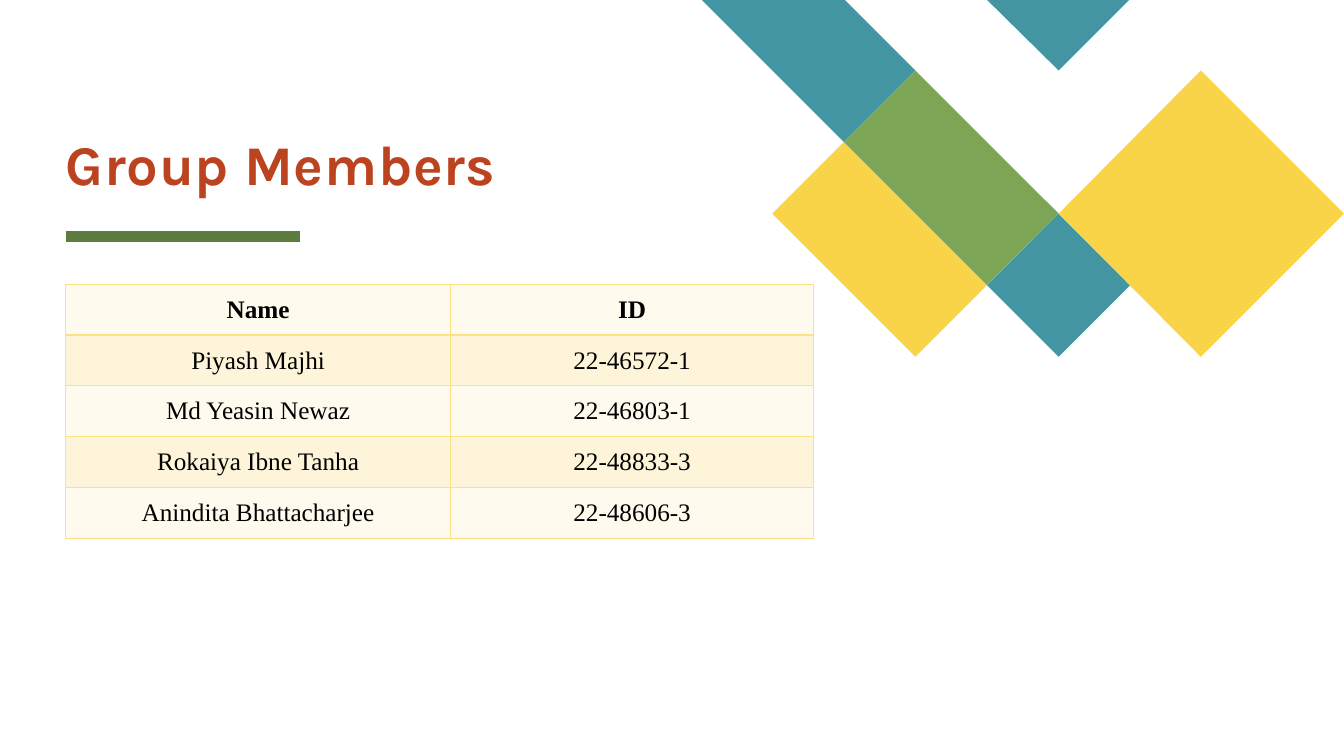
from pptx import Presentation
from pptx.dml.color import RGBColor
from pptx.enum.shapes import MSO_CONNECTOR
from pptx.enum.text import MSO_ANCHOR, MSO_AUTO_SIZE, PP_ALIGN
from pptx.oxml import parse_xml
from pptx.oxml.ns import nsdecls
from pptx.util import Inches, Pt
from lxml import etree

TEAL = RGBColor(0x44, 0x95, 0xA2)
YELLOW = RGBColor(0xF9, 0xD4, 0x48)
GREEN = RGBColor(0x7C, 0xA6, 0x55)
DARK_GREEN = RGBColor(0x5D, 0x7D, 0x40)
RUST = RGBColor(0xBB, 0x43, 0x1F)
BLACK = RGBColor(0, 0, 0)
CREAM = RGBColor(0xFE, 0xFA, 0xED)
SAND = RGBColor(0xFD, 0xF4, 0xD9)
BORDER = RGBColor(0xFB, 0xE2, 0x84)

prs = Presentation()
prs.slide_width, prs.slide_height = Inches(13.33), Inches(7.5)
slide = prs.slides.add_slide(prs.slide_layouts[5])

# Corner pattern: each entry is a fill and its outlines
pattern = [
    (TEAL, [[(9.08, 0.7), (8.38, 0), (6.96, 0), (8.37, 1.41)],
            [(11.21, 2.83), (10.5, 2.12), (9.79, 2.83), (10.5, 3.54)]]),
    (YELLOW, [[(8.37, 1.41), (7.66, 2.12), (9.08, 3.54), (9.79, 2.83)]]),
    (TEAL, [[(11.2, 0), (9.79, 0), (10.5, 0.7)]]),
    (GREEN, [[(9.08, 0.7), (8.37, 1.41), (9.79, 2.83), (10.5, 2.12)]]),
    (YELLOW, [[(13.33, 2.12), (11.91, 0.7), (10.5, 2.12), (11.91, 3.54)]]),
]
for color, outlines in pattern:
    outlines = [[(Inches(x), Inches(y)) for x, y in pts] for pts in outlines]
    builder = slide.shapes.build_freeform(*outlines[0][0])
    builder.add_line_segments(outlines[0][1:], close=True)
    for pts in outlines[1:]:
        builder.move_to(*pts[0])
        builder.add_line_segments(pts[1:], close=True)
    sp = builder.convert_to_shape()
    sp.shadow.inherit = False
    sp.fill.solid()
    sp.fill.fore_color.rgb = color
    sp.line.fill.background()

# Rule under the title
rule = slide.shapes.add_connector(
    MSO_CONNECTOR.STRAIGHT, Inches(0.65), Inches(2.35), Inches(2.98), Inches(2.35))
rule.line.color.rgb = DARK_GREEN
rule.line.width = Pt(8)
rule._element.spPr.append(parse_xml(f"<a:effectLst {nsdecls('a')}/>"))

# Title
title = slide.shapes.title
title.left, title.top = Inches(0.65), Inches(0.21)
title.width, title.height = Inches(7.42), Inches(1.74)
tf = title.text_frame
tf.text = "Group Members"
tf.word_wrap = True
tf.auto_size = MSO_AUTO_SIZE.NONE
tf.vertical_anchor = MSO_ANCHOR.BOTTOM
tf.margin_left = tf.margin_right = tf.margin_top = tf.margin_bottom = 0
p = tf.paragraphs[0]
p.alignment = PP_ALIGN.LEFT
p.line_spacing = 0.8
p.font.name, p.font.size, p.font.bold = "Karla", Pt(40), True
p.font.color.rgb = RUST
p.runs[0]._r.get_or_add_rPr().set("spc", "50")

# Members table
members = [
    ("Name", "ID"),
    ("Piyash Majhi", "22-46572-1"),
    ("Md Yeasin Newaz", "22-46803-1"),
    ("Rokaiya Ibne Tanha", "22-48833-3"),
    ("Anindita Bhattacharjee", "22-48606-3"),
]
table = slide.shapes.add_table(
    len(members), 2, Inches(0.65), Inches(2.82), Inches(7.42), Inches(2.52)).table
table.columns[0].width, table.columns[1].width = Inches(3.82), Inches(3.6)
for i, member in enumerate(members):
    for j, text in enumerate(member):
        cell = table.cell(i, j)
        cell.text = text
        cell.vertical_anchor = MSO_ANCHOR.MIDDLE
        p = cell.text_frame.paragraphs[0]
        p.alignment = PP_ALIGN.CENTER
        p.font.name, p.font.size, p.font.bold = "Times New Roman", Pt(18), i == 0
        p.font.color.rgb = BLACK
        # Borders come before the fill in the cell properties
        tcPr = cell._tc.get_or_add_tcPr()
        for side in ("lnL", "lnR", "lnT", "lnB"):
            tcPr.append(etree.fromstring(
                f'<a:{side} {nsdecls("a")} w="{Pt(1)}"><a:solidFill>'
                f'<a:srgbClr val="{BORDER}"/></a:solidFill></a:{side}>'))
        cell.fill.solid()
        cell.fill.fore_color.rgb = SAND if i % 2 else CREAM

prs.save("out.pptx")
